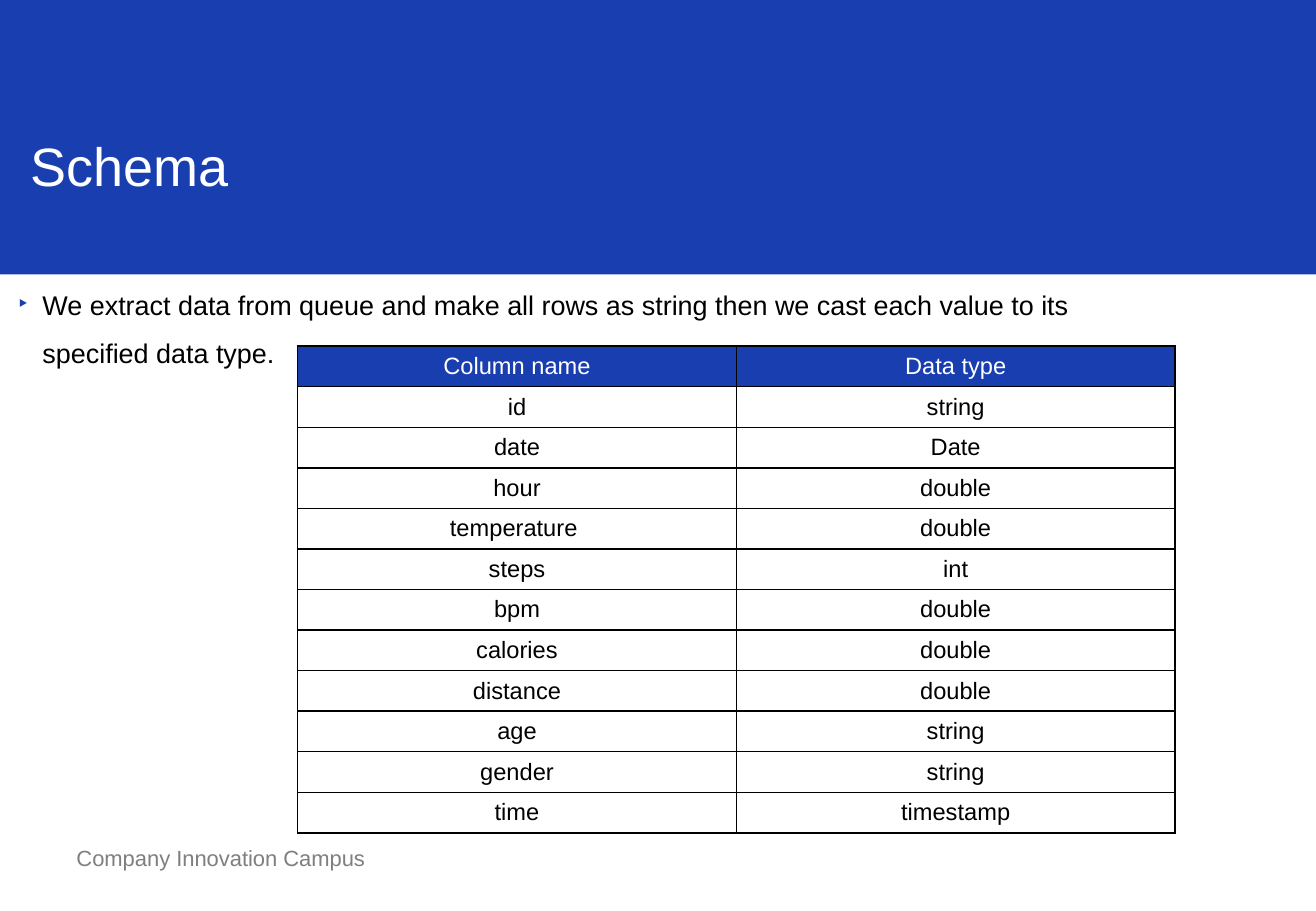
from lxml.etree import SubElement
from pptx import Presentation
from pptx.dml.color import RGBColor
from pptx.enum.shapes import MSO_SHAPE as SHAPE
from pptx.enum.text import MSO_ANCHOR as ANCHOR, PP_ALIGN as ALIGN
from pptx.oxml.ns import qn
from pptx.util import Inches, Pt

BLUE = RGBColor(0x19, 0x3E, 0xB0)
WHITE = RGBColor(0xFF, 0xFF, 0xFF)
BLACK = RGBColor(0, 0, 0)
GRAY = RGBColor(0x7F, 0x7F, 0x7F)

SCHEMA = [
    ("Column name", "Data type"),
    ("id", "string"),
    ("date", "Date"),
    ("hour", "double"),
    ("temperature ", "double"),
    ("steps", "int"),
    ("bpm", "double"),
    ("calories", "double"),
    ("distance", "double"),
    ("age", "string"),
    ("gender", "string"),
    ("time", "timestamp"),
]


def add_run(p, text, size, color):
    r = p.add_run()
    r.text = text
    r.font.name = "Arial"
    r.font.size = Pt(size)
    r.font.color.rgb = color


def add_text(box, margins, text, size, color):
    """Add a wrapped text box; box is left, top, width, height in inches."""
    tf = s.shapes.add_textbox(*map(Inches, box)).text_frame
    tf.word_wrap = True
    tf.margin_left, tf.margin_top, tf.margin_right, tf.margin_bottom = map(Inches, margins)
    p = tf.paragraphs[0]
    add_run(p, text, size, color)
    return p


prs = Presentation()
prs.slide_width, prs.slide_height = Inches(10.83), Inches(7.5)
s = prs.slides.add_slide(prs.slide_layouts[6])

banner = s.shapes.add_shape(SHAPE.RECTANGLE, 0, 0, prs.slide_width, Inches(2.26))
banner.shadow.inherit = False
banner.fill.solid()
banner.fill.fore_color.rgb = BLUE
banner.line.fill.background()

add_text((0.63, 6.95, 3.16, 0.22), (0, 0, 0, 0), "Company Innovation Campus", 13, GRAY)
add_text((0.15, 1.04, 6.04, 0.6), (0.1, 0.05, 0.1, 0.05), "Schema", 32, WHITE)

# Bulleted description
p = add_text((0.15, 2.16, 9.44, 2.6), (0, 0.08, 0.16, 0.08),
             "We extract data from queue and make all rows as string "
             "then we cast each value to its specified data type.", 16, BLACK)
p.line_spacing = 1.5
p.space_before = Pt(8)
pPr = p._p.get_or_add_pPr()
pPr.set("marL", str(Inches(0.2)))
pPr.set("indent", str(Inches(-0.21)))
SubElement(SubElement(pPr, qn("a:buClr")), qn("a:srgbClr"), val=str(BLUE))
SubElement(pPr, qn("a:buFont"), typeface="Arial")
SubElement(pPr, qn("a:buChar"), char="‣")

# Schema table
table = s.shapes.add_table(len(SCHEMA), 2, Inches(2.45), Inches(2.85),
                           Inches(7.22), Inches(4)).table
table.horz_banding = False
for i, row in enumerate(SCHEMA):
    for j, text in enumerate(row):
        cell = table.cell(i, j)
        cell.vertical_anchor = ANCHOR.MIDDLE
        tcPr = cell._tc.get_or_add_tcPr()
        for side in ("a:lnL", "a:lnR", "a:lnT", "a:lnB"):
            ln = SubElement(tcPr, qn(side), w=str(Pt(1)))
            SubElement(SubElement(ln, qn("a:solidFill")), qn("a:srgbClr"), val=str(BLACK))
        if i == 0:
            cell.fill.solid()
            cell.fill.fore_color.rgb = BLUE
        else:
            cell.fill.background()
        p = cell.text_frame.paragraphs[0]
        p.alignment = ALIGN.CENTER
        add_run(p, text, 14, WHITE if i == 0 else BLACK)

prs.save("out.pptx")
